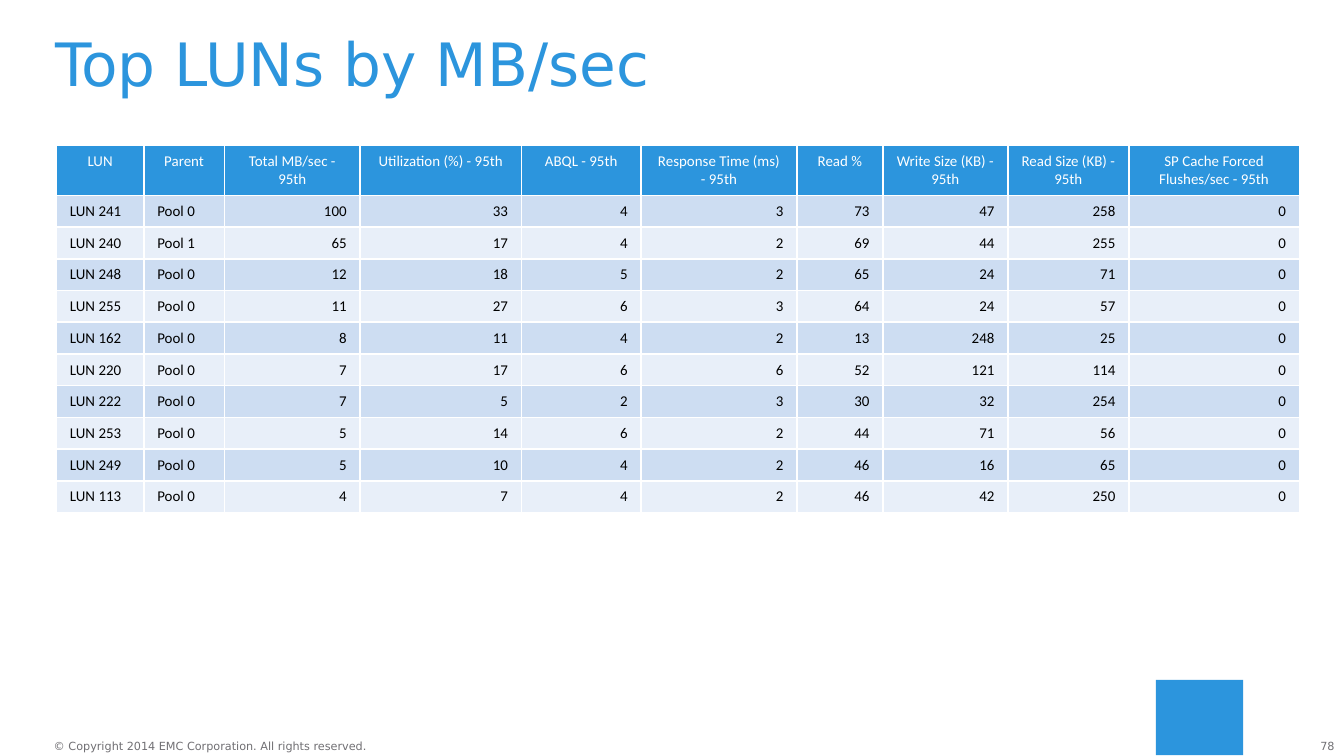
from pptx import Presentation
from pptx import util as u
from pptx.dml.color import RGBColor
from pptx.enum import shapes, text
from pptx.oxml import ns
from lxml import etree

Inches, Pt = u.Inches, u.Pt
LEFT, CENTER, RIGHT = text.PP_ALIGN.LEFT, text.PP_ALIGN.CENTER, text.PP_ALIGN.RIGHT
TOP, BOTTOM = text.MSO_ANCHOR.TOP, text.MSO_ANCHOR.BOTTOM

BLUE, GRAY, WHITE, BLACK = "2C95DD", "717074", "FFFFFF", "000000"
BANDS = ("CDDDF2", "E8EFF9")

TITLE = "Top LUNs by MB/sec"
COPYRIGHT = "© Copyright 2014 EMC Corporation. All rights reserved."
PAGE_NUMBER = "78"

COLUMNS = [
    ("LUN", 0.65),
    ("Parent", 0.6),
    ("Total MB/sec - 95th", 1.01),
    ("Utilization (%) - 95th", 1.2),
    ("ABQL - 95th", 0.89),
    ("Response Time (ms) - 95th", 1.16),
    ("Read %", 0.64),
    ("Write Size (KB) - 95th", 0.93),
    ("Read Size (KB) - 95th", 0.9),
    ("SP Cache Forced Flushes/sec - 95th", 1.27),
]
LUNS = [
    ("LUN 241", "Pool 0", 100, 33, 4, 3, 73, 47, 258, 0),
    ("LUN 240", "Pool 1", 65, 17, 4, 2, 69, 44, 255, 0),
    ("LUN 248", "Pool 0", 12, 18, 5, 2, 65, 24, 71, 0),
    ("LUN 255", "Pool 0", 11, 27, 6, 3, 64, 24, 57, 0),
    ("LUN 162", "Pool 0", 8, 11, 4, 2, 13, 248, 25, 0),
    ("LUN 220", "Pool 0", 7, 17, 6, 6, 52, 121, 114, 0),
    ("LUN 222", "Pool 0", 7, 5, 2, 3, 30, 32, 254, 0),
    ("LUN 253", "Pool 0", 5, 14, 6, 2, 44, 71, 56, 0),
    ("LUN 249", "Pool 0", 5, 10, 4, 2, 46, 16, 65, 0),
    ("LUN 113", "Pool 0", 4, 7, 4, 2, 46, 42, 250, 0),
]
HEADER_HEIGHT, ROW_HEIGHT = Pt(27), Pt(17)


def color(value):
    return RGBColor.from_string(value)


def style(para, font, size, shade, align):
    para.alignment = align
    para.font.name = font
    para.font.size = Pt(size)
    para.font.color.rgb = color(shade)


def add_text(page, area, words, size, shade, align=LEFT, anchor=TOP, wrap=True):
    frame = page.shapes.add_textbox(*map(Inches, area)).text_frame
    frame.margin_left = frame.margin_top = frame.margin_right = frame.margin_bottom = 0
    frame.word_wrap = wrap
    frame.vertical_anchor = anchor
    para = frame.paragraphs[0]
    para.text = words
    style(para, "DejaVu Sans", size, shade, align)
    return para


def add_borders(cell):
    properties = cell._tc.get_or_add_tcPr()
    for side in "LRTB":
        line = etree.SubElement(properties, ns.qn(f"a:ln{side}"), w=str(Pt(1)))
        fill = etree.SubElement(line, ns.qn("a:solidFill"))
        etree.SubElement(fill, ns.qn("a:srgbClr"), val=WHITE)


def fill_cell(cell, value, shade, ink, align):
    add_borders(cell)
    cell.fill.solid()
    cell.fill.fore_color.rgb = color(shade)
    para = cell.text_frame.paragraphs[0]
    para.text = str(value)
    style(para, "Calibri", 8, ink, align)


def add_lun_table(page):
    width = Inches(sum(size for _, size in COLUMNS))
    height = HEADER_HEIGHT + ROW_HEIGHT * len(LUNS)
    table = page.shapes.add_table(
        len(LUNS) + 1, len(COLUMNS), Inches(0.42), Inches(1.08), width, height
    ).table
    for row in table.rows:
        row.height = ROW_HEIGHT
    table.rows[0].height = HEADER_HEIGHT
    for c, (heading, size) in enumerate(COLUMNS):
        table.columns[c].width = Inches(size)
        fill_cell(table.cell(0, c), heading, BLUE, WHITE, CENTER)
        for r, lun in enumerate(LUNS):
            align = RIGHT if c > 1 else LEFT
            fill_cell(table.cell(r + 1, c), lun[c], BANDS[r % 2], BLACK, align)


def main():
    deck = Presentation()
    deck.slide_width = Inches(10)
    deck.slide_height = deck.slide_width * 9 // 16
    page = deck.slides.add_slide(deck.slide_layouts[6])

    add_text(page, (9.62, 5.5, 0.31, 0.1), PAGE_NUMBER, 6, GRAY, align=RIGHT)
    block = page.shapes.add_shape(
        shapes.MSO_SHAPE.RECTANGLE, *map(Inches, (8.6, 5.06, 0.65, 0.56))
    )
    block.shadow.inherit = False
    block.fill.solid()
    block.fill.fore_color.rgb = color(BLUE)
    block.line.fill.background()
    add_text(page, (0.4, 5.5, 2.37, 0.1), COPYRIGHT, 6, GRAY, wrap=False)
    title = add_text(page, (0.41, 0.24, 9.25, 0.5), TITLE, 32, BLUE, anchor=BOTTOM)
    title.line_spacing = 0.9
    add_lun_table(page)

    deck.save("out.pptx")


if __name__ == "__main__":
    main()
